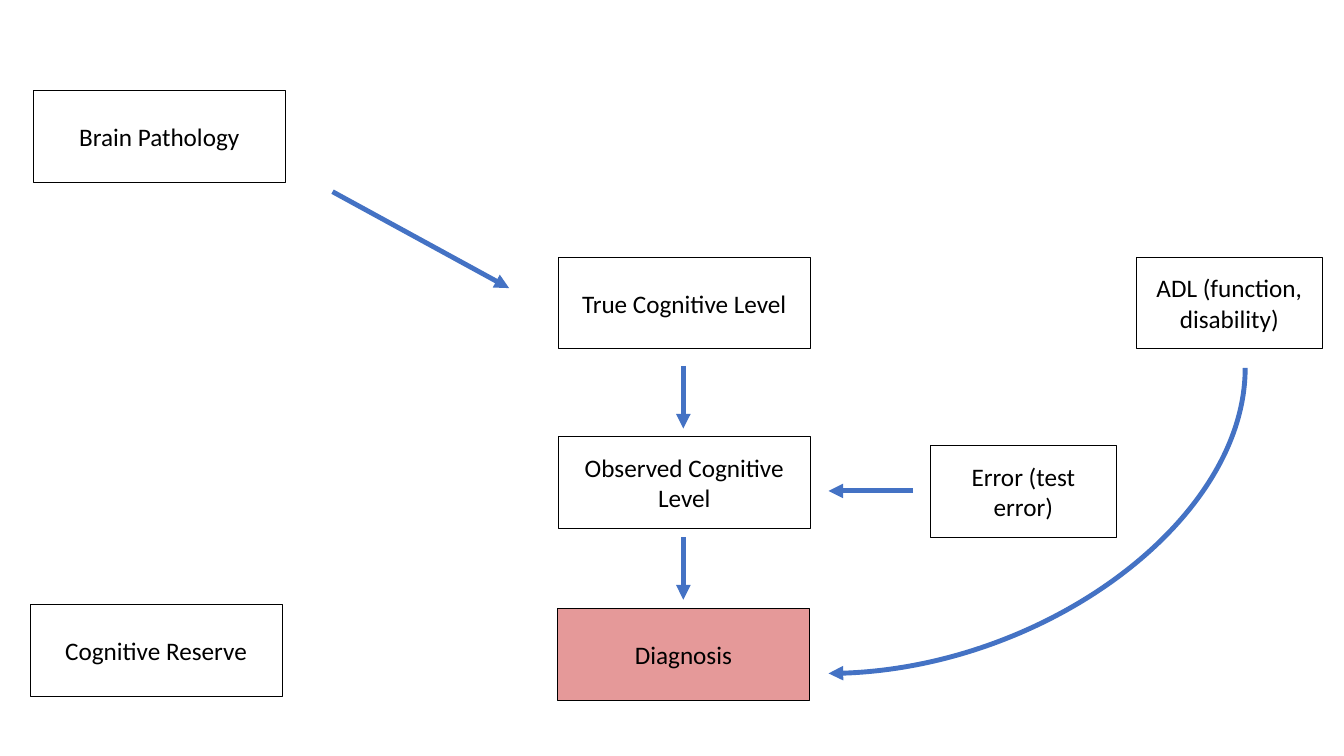
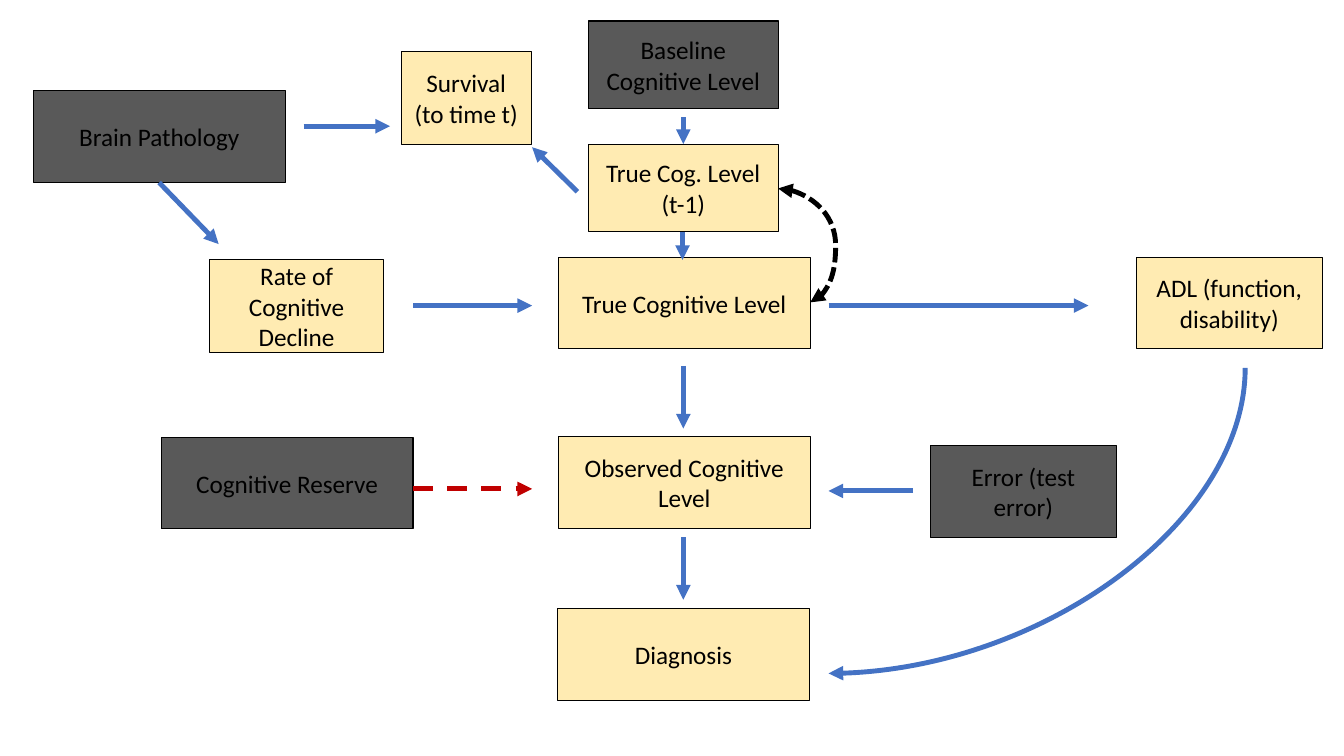
"""Build two slides that model the path from brain pathology to a diagnosis."""
from dataclasses import dataclass, replace

from lxml.etree import SubElement
from pptx import Presentation
from pptx.dml.color import RGBColor
from pptx.enum.dml import MSO_LINE
from pptx.enum.shapes import MSO_CONNECTOR, MSO_SHAPE
from pptx.enum.text import MSO_ANCHOR, PP_ALIGN
from pptx.oxml.ns import qn
from pptx.presentation import Presentation as PresentationType
from pptx.shapes.connector import Connector
from pptx.slide import Slide
from pptx.util import Cm, Pt

COLOURS = {
    "ink": "000000",
    "arrow": "4472C4",
    "alert": "C00000",
    "unobserved": "595959",
    "modelled": "FFD966",
}
FONT = "Calibri"
WIDE = (6.35, 2.31)
NARROW = (4.7, 2.31)
SMALL = (4.78, 2.21)


@dataclass(frozen=True)
class Fill:
    """A box fill with its opacity in percent."""

    colour: str
    opacity: int = 100


@dataclass(frozen=True)
class Box:
    """A labelled box, measured in centimetres."""

    lines: tuple[str, ...]
    left: float
    top: float
    size: tuple[float, float] = WIDE
    fill: Fill | None = None


@dataclass(frozen=True)
class Arrow:
    """An arrow between two points, measured in centimetres."""

    begin: tuple[float, float]
    end: tuple[float, float]
    colour: str = "arrow"
    dash: MSO_LINE | None = None
    double: bool = False
    quarter_turn: bool = False
    bulge: int | None = None


UNOBSERVED = Fill("unobserved")
MODELLED = Fill("modelled", 50)

PATHOLOGY = Box(("Brain Pathology",), 0.84, 2.29)
TRUE_LEVEL = Box(("True Cognitive Level",), 14.07, 6.48)
OBSERVED_LEVEL = Box(("Observed Cognitive Level",), 14.07, 11)
DIAGNOSIS = Box(("Diagnosis",), 14.05, 15.34)
RESERVE = Box(("Cognitive Reserve",), 0.76, 15.24)
TEST_ERROR = Box(("Error (test error)",), 23.44, 11.23, NARROW)
ADL = Box(("ADL (function, disability)",), 28.63, 6.48, NARROW)

SHARED_ARROWS = [
    Arrow((17.22, 9.22), (17.22, 10.8)),
    Arrow((17.22, 13.54), (17.22, 15.11)),
    Arrow((23.01, 12.37), (20.88, 12.37)),
    Arrow((31.38, 9.27), (20.88, 16.97), quarter_turn=True),
]

BASIC_BOXES = [
    PATHOLOGY, TRUE_LEVEL, OBSERVED_LEVEL, replace(DIAGNOSIS, fill=Fill("alert", 40)),
    RESERVE, TEST_ERROR, ADL,
]
BASIC_ARROWS = [Arrow((8.38, 4.83), (12.83, 7.26)), *SHARED_ARROWS]

FULL_BOXES = [
    *(replace(box, fill=UNOBSERVED) for box in (
        PATHOLOGY,
        replace(RESERVE, left=4.06, top=11.02),
        TEST_ERROR,
        Box(("Baseline Cognitive Level",), 14.83, 0.53, SMALL),
    )),
    *(replace(box, fill=MODELLED) for box in (
        TRUE_LEVEL,
        OBSERVED_LEVEL,
        DIAGNOSIS,
        ADL,
        Box(("True Cog. Level", "(t-1)"), 14.83, 3.63, SMALL),
        Box(("Survival", "(to time t)"), 10.11, 1.3, (3.28, 2.34)),
        Box(("Rate of Cognitive Decline",), 5.28, 6.53, (4.39, 2.36)),
    )),
]
FULL_ARROWS = [
    *SHARED_ARROWS,
    Arrow((10.41, 7.7), (13.41, 7.7)),
    Arrow((17.22, 2.95), (17.22, 3.63)),
    Arrow((14.55, 4.83), (13.41, 3.71)),
    Arrow((7.65, 3.18), (9.83, 3.18)),
    Arrow((4.01, 4.6), (5.51, 6.15)),
    Arrow((17.2, 5.84), (17.2, 6.55)),
    Arrow((20.88, 7.7), (27.43, 7.7)),
    Arrow((19.61, 4.75), (20.42, 7.62), "ink", MSO_LINE.SQUARE_DOT, double=True, bulge=179100),
    Arrow((10.41, 12.32), (13.41, 12.32), "alert", MSO_LINE.DASH),
]


def rgb(name: str) -> RGBColor:
    """Return the named palette colour."""
    return RGBColor.from_string(COLOURS[name])


def draw_box(slide: Slide, box: Box) -> None:
    """Draw one box with its centred label."""
    width, height = box.size
    shape = slide.shapes.add_shape(
        MSO_SHAPE.RECTANGLE, Cm(box.left), Cm(box.top), Cm(width), Cm(height)
    )
    shape.shadow.inherit = False
    shape.line.color.rgb = rgb("ink")
    shape.line.width = Pt(0.75)
    if box.fill is None:
        shape.fill.background()
    else:
        shape.fill.solid()
        shape.fill.fore_color.rgb = rgb(box.fill.colour)
        if box.fill.opacity < 100:
            colour = shape.element.spPr.find(f"{qn('a:solidFill')}/{qn('a:srgbClr')}")
            SubElement(colour, qn("a:alpha"), val=str(box.fill.opacity * 1000))
    frame = shape.text_frame
    frame.word_wrap = True
    frame.vertical_anchor = MSO_ANCHOR.MIDDLE
    for index, line in enumerate(box.lines):
        paragraph = frame.add_paragraph() if index else frame.paragraphs[0]
        paragraph.alignment = PP_ALIGN.CENTER
        run = paragraph.add_run()
        run.text = line
        run.font.name = FONT
        run.font.size = Pt(18)
        run.font.color.rgb = rgb("ink")


def turn_quarter(connector: Connector) -> None:
    """Bend a connector down and left by turning a quarter curve clockwise."""
    width, height = connector.width, connector.height
    shift = (width - height) // 2
    connector.left, connector.top = connector.left + shift, connector.top - shift
    connector.width, connector.height = height, width
    transform = connector.element.spPr.find(qn("a:xfrm"))
    transform.attrib.pop("flipH", None)
    transform.set("rot", str(90 * 60000))
    connector.element.spPr.find(qn("a:prstGeom")).set("prst", "curvedConnector2")


def set_bulge(connector: Connector, bulge: int) -> None:
    """Set how far a curved connector swings out, in thousandths of a percent."""
    adjustments = connector.element.spPr.find(f"{qn('a:prstGeom')}/{qn('a:avLst')}")
    SubElement(adjustments, qn("a:gd"), name="adj1", fmla=f"val {bulge}")


def draw_arrow(slide: Slide, arrow: Arrow) -> None:
    """Draw one straight or curved arrow."""
    curved = arrow.quarter_turn or arrow.bulge is not None
    connector = slide.shapes.add_connector(
        MSO_CONNECTOR.CURVE if curved else MSO_CONNECTOR.STRAIGHT,
        *(Cm(value) for value in arrow.begin + arrow.end),
    )
    if arrow.quarter_turn:
        turn_quarter(connector)
    if arrow.bulge is not None:
        set_bulge(connector, arrow.bulge)
    connector.line.color.rgb = rgb(arrow.colour)
    connector.line.width = Pt(3.5)
    if arrow.dash is not None:
        connector.line.dash_style = arrow.dash
    properties = connector.element.spPr
    for tag in ("a:headEnd", "a:tailEnd") if arrow.double else ("a:tailEnd",):
        SubElement(properties.find(qn("a:ln")), qn(tag), type="triangle")
    SubElement(properties, qn("a:effectLst"))


def add_diagram(
    presentation: PresentationType, boxes: list[Box], arrows: list[Arrow]
) -> None:
    """Add a slide that holds the given boxes and arrows."""
    slide = presentation.slides.add_slide(presentation.slide_layouts[6])
    for box in boxes:
        draw_box(slide, box)
    for arrow in arrows:
        draw_arrow(slide, arrow)


def main() -> None:
    """Build and save the presentation."""
    presentation = Presentation()
    presentation.slide_width = Cm(33.87)
    presentation.slide_height = Cm(19.05)
    add_diagram(presentation, BASIC_BOXES, BASIC_ARROWS)
    add_diagram(presentation, FULL_BOXES, FULL_ARROWS)
    presentation.save("out.pptx")


main()
